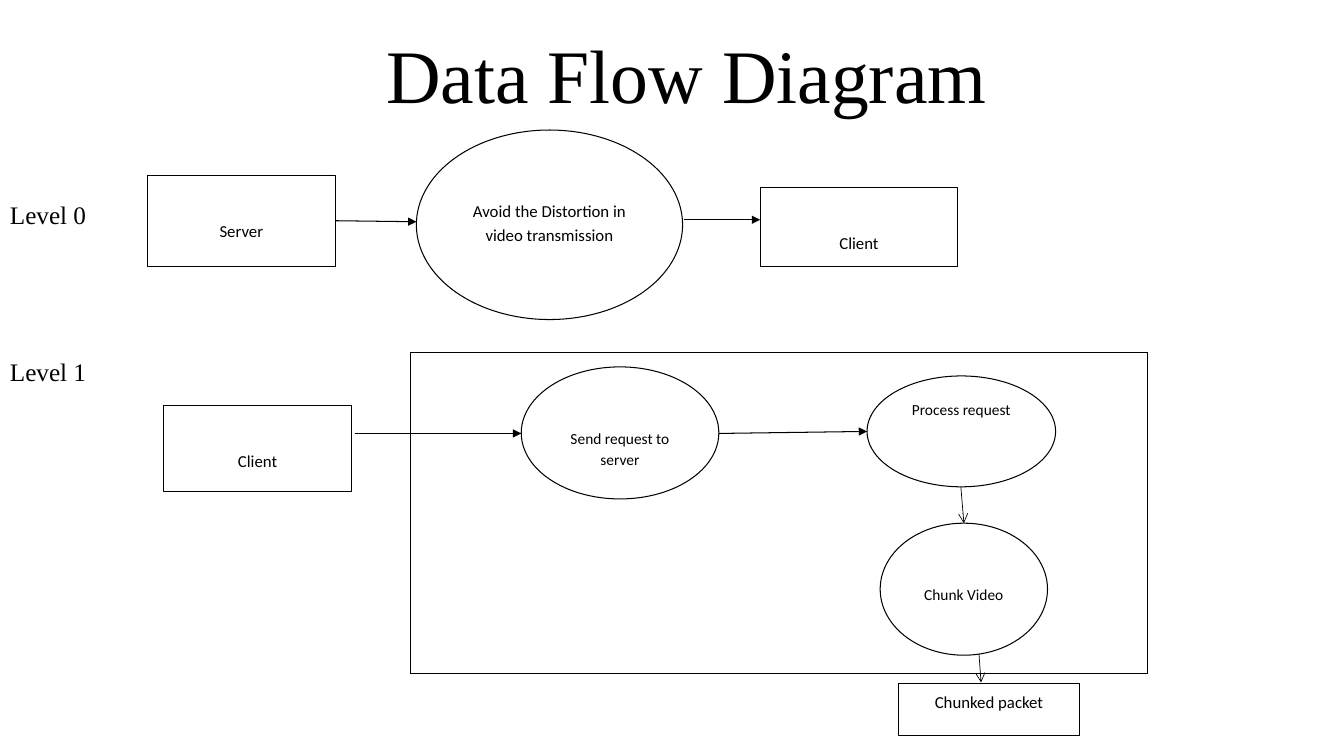
from lxml import etree
from pptx import Presentation
from pptx.dml.color import RGBColor
from pptx.enum.dml import MSO_LINE
from pptx.enum.shapes import MSO_CONNECTOR, MSO_SHAPE
from pptx.enum.text import MSO_ANCHOR, MSO_AUTO_SIZE, PP_ALIGN
from pptx.oxml.ns import qn
from pptx.util import Inches, Pt

BLACK = RGBColor(0, 0, 0)
WHITE = RGBColor(255, 255, 255)
RECT = MSO_SHAPE.RECTANGLE
OVAL = MSO_SHAPE.OVAL
LINE = MSO_CONNECTOR.STRAIGHT
DOTS = MSO_LINE.ROUND_DOT
LEFT, CENTER = PP_ALIGN.LEFT, PP_ALIGN.CENTER
TOP, BOTTOM = MSO_ANCHOR.TOP, MSO_ANCHOR.BOTTOM
FIT = MSO_AUTO_SIZE.SHAPE_TO_FIT_TEXT
SERIF, SANS = "Times New Roman", "Calibri"
RIGHT_SIDE = 3


def write(frame, text, size=12, font=SANS, align=CENTER, anchor=TOP,
          pitch=1.0, inset=0.05, foot=0.05):
    frame.word_wrap = True
    frame.vertical_anchor = anchor
    frame.margin_top, frame.margin_bottom = Inches(inset), Inches(foot)
    para = frame.paragraphs[0]
    para.alignment = align
    para.line_spacing = pitch
    run = para.add_run()
    run.text = text
    run.font.size = Pt(size)
    run.font.name = font
    run.font.color.rgb = BLACK


class Chart:
    def __init__(self, slide):
        self.slide = slide
        self.shapes = slide.shapes

    def title(self, text, *box):
        head = self.shapes.title
        head.left, head.top, head.width, head.height = map(Inches, box)
        write(head.text_frame, text, size=54, font=SERIF, anchor=BOTTOM, pitch=0.9)

    def label(self, text, *box):
        area = self.shapes.add_textbox(*map(Inches, box))
        write(area.text_frame, text, size=18, font=SERIF, align=LEFT)
        area.text_frame.auto_size = FIT

    def outline(self, kind, box, weight=0.75):
        shape = self.shapes.add_shape(kind, *map(Inches, box))
        shape.shadow.inherit = False
        shape.line.color.rgb = BLACK
        shape.line.width = Pt(weight)
        return shape

    def node(self, kind, text, *box, size=12, inset=0.05):
        shape = self.outline(kind, box)
        shape.fill.solid()
        shape.fill.fore_color.rgb = WHITE
        write(shape.text_frame, text, size=size, pitch=1.15, inset=inset, foot=0)
        return shape

    def frame(self, *box):
        shape = self.outline(RECT, box, weight=0.25)
        shape.fill.background()
        shape.line.dash_style = DOTS

    def arrow(self, *ends, weight=0.75, tip="triangle", start=None):
        link = self.shapes.add_connector(LINE, *map(Inches, ends))
        if start:
            link.begin_connect(start, RIGHT_SIDE)
        link.line.color.rgb = BLACK
        link.line.width = Pt(weight)
        stroke = link.line._get_or_add_ln()
        etree.SubElement(stroke, qn("a:tailEnd"), type=tip)
        etree.SubElement(link._element.spPr, qn("a:effectLst"))


def main():
    deck = Presentation()
    deck.slide_width, deck.slide_height = Inches(13.33), Inches(7.5)
    flow = Chart(deck.slides.add_slide(deck.slide_layouts[5]))
    flow.title("Data Flow Diagram", 1.81, 0.13, 10, 1.11)

    flow.label("Level 0", 0, 1.93, 0.99, 0.4)
    server = flow.node(RECT, "Server", 1.46, 1.74, 1.87, 0.9, inset=0.42)
    flow.node(OVAL, "Avoid the Distortion in video transmission",
              4.13, 1.29, 2.64, 1.88, inset=0.4)
    flow.node(RECT, "Client", 7.54, 1.86, 1.96, 0.78, inset=0.42)
    flow.arrow(3.33, 2.19, 4.13, 2.2, start=server)
    flow.arrow(6.78, 2.18, 7.54, 2.18)

    flow.node(RECT, "Client", 1.62, 4.02, 1.87, 0.86, inset=0.42)
    flow.node(OVAL, "Send request to server", 5.17, 3.64, 1.96, 1.31,
              size=11, inset=0.4)
    flow.node(OVAL, "Process request", 8.6, 3.73, 1.87, 1.1, size=11)
    flow.node(OVAL, "Chunk Video", 8.73, 5.19, 1.66, 1.31, size=11, inset=0.4)
    flow.node(RECT, "Chunked packet", 8.91, 6.78, 1.8, 0.52)
    flow.arrow(3.52, 4.3, 5.17, 4.3)
    flow.arrow(7.13, 4.3, 8.6, 4.28)
    flow.arrow(9.53, 4.83, 9.56, 5.19, weight=0.5, tip="arrow")
    flow.arrow(9.71, 6.49, 9.73, 6.77, weight=0.5, tip="arrow")
    flow.frame(4.07, 3.49, 7.31, 3.19)
    flow.label("Level 1", 0, 3.49, 2.11, 0.4)

    deck.save("out.pptx")


if __name__ == "__main__":
    main()
